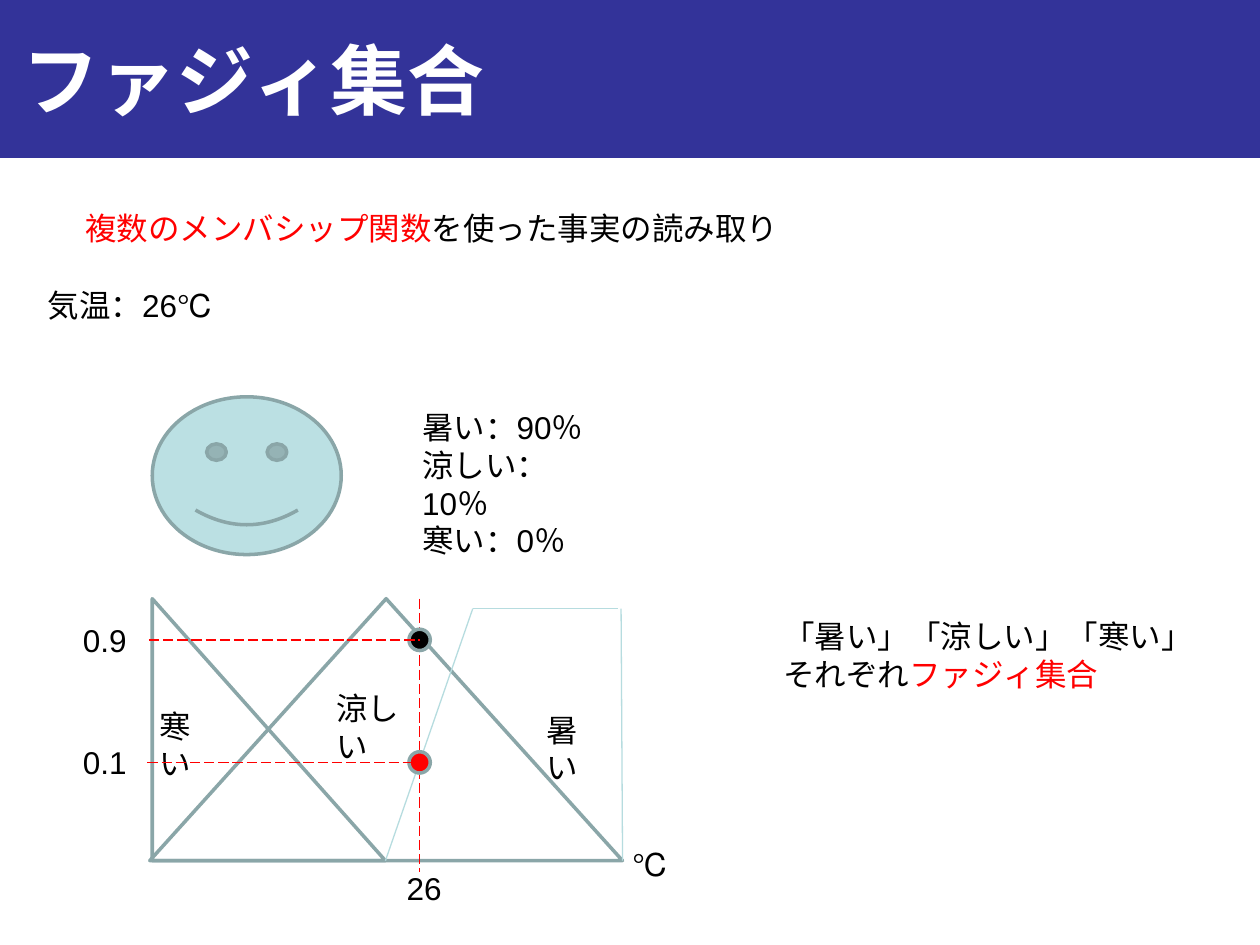
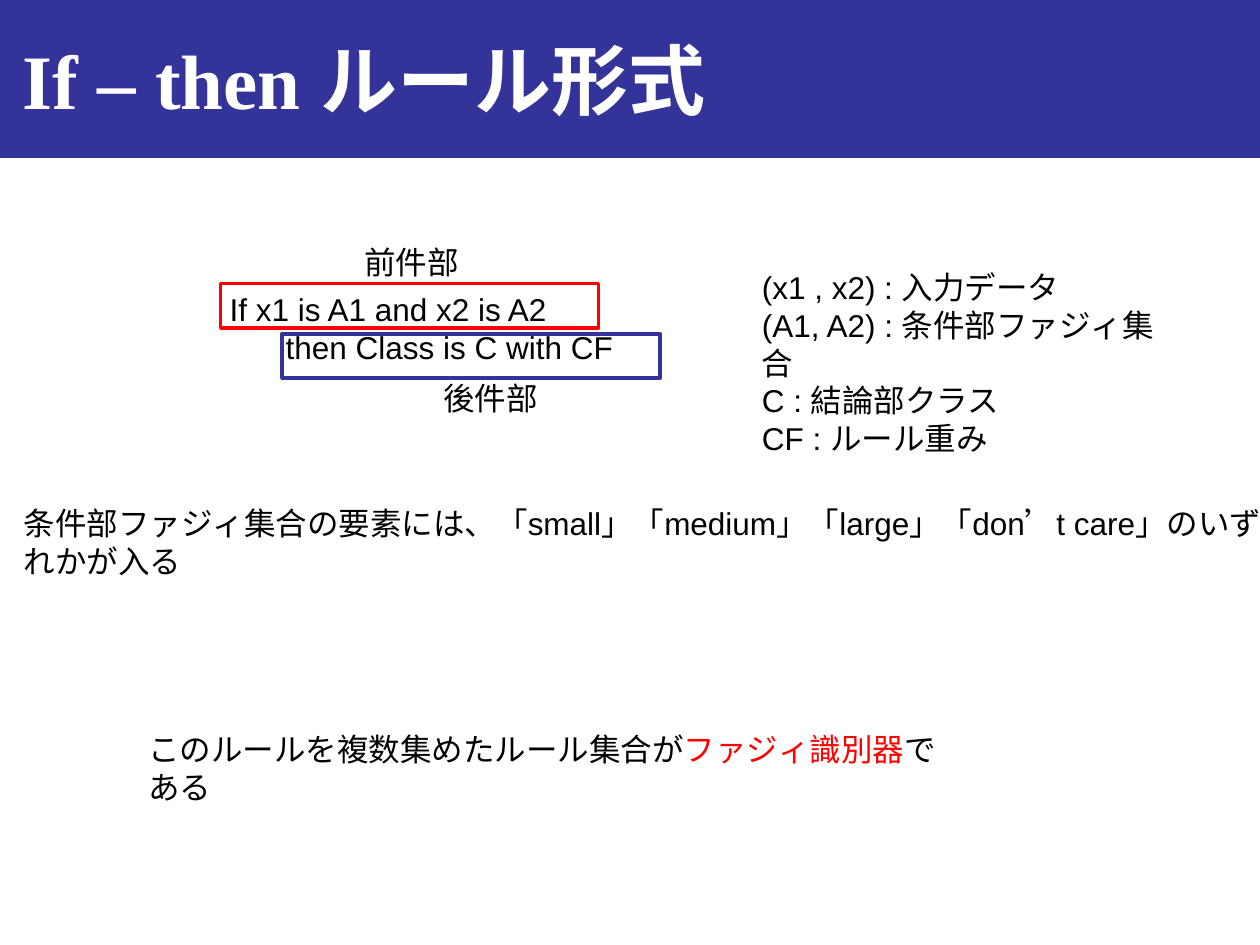
from dataclasses import dataclass

from lxml.etree import SubElement
from pptx import Presentation
from pptx.dml.color import RGBColor
from pptx.enum.dml import MSO_LINE_DASH_STYLE as DASH
from pptx.enum.shapes import MSO_CONNECTOR, MSO_SHAPE as SHAPE
from pptx.enum.text import MSO_ANCHOR, MSO_AUTO_SIZE, PP_ALIGN
from pptx.oxml.ns import qn
from pptx.util import Cm, Pt


@dataclass(frozen=True)
class Theme:
    navy: str = "333399"
    red: str = "FF0000"
    black: str = "000000"
    white: str = "FFFFFF"
    gray: str = "8AA6A8"
    aqua: str = "BBE0E3"
    pale: str = "B6DCDF"
    title_font: str = "Times New Roman"
    body_font: str = "Arial"
    title_size: int = 44
    body_size: int = 18
    thin: float = 0.75
    thick: float = 2


T = Theme()
WIDTH, HEIGHT, BAND = 25.4, 19.05, 3.18
LINE = 1.02


def rgb(color):
    return RGBColor.from_string(color)


def set_font(font, name, size, color, bold=False):
    font.name, font.size, font.bold = name, Pt(size), bold
    font.color.rgb = rgb(color)


def add_shape(shapes, kind, x, y, w, h, fill=None, line=T.gray, weight=T.thick):
    sp = shapes.add_shape(kind, Cm(x), Cm(y), Cm(w), Cm(h))
    sp.shadow.inherit = False
    if fill:
        sp.fill.solid()
        sp.fill.fore_color.rgb = rgb(fill)
    else:
        sp.fill.background()
    sp.line.color.rgb = rgb(line)
    sp.line.width = Pt(weight)
    return sp


def add_line(shapes, x1, y1, x2, y2, color=T.pale, dash=None):
    cxn = shapes.add_connector(MSO_CONNECTOR.STRAIGHT, Cm(x1), Cm(y1), Cm(x2), Cm(y2))
    cxn.line.color.rgb = rgb(color)
    cxn.line.width = Pt(T.thin)
    if dash:
        cxn.line.dash_style = dash
    SubElement(cxn.element.spPr, qn("a:effectLst"))


def add_text(shapes, x, y, w, *paragraphs, indents=()):
    """Each paragraph is a string or a list of (text, color) runs."""
    box = shapes.add_textbox(Cm(x), Cm(y), Cm(w), Cm(LINE * len(paragraphs)))
    tf = box.text_frame
    tf.word_wrap = True
    for i, runs in enumerate(paragraphs):
        p = tf.paragraphs[0] if i == 0 else tf.add_paragraph()
        set_font(p.font, T.body_font, T.body_size, T.black)
        if isinstance(runs, str):
            p.add_run().text = runs
        else:
            for text, color in runs:
                r = p.add_run()
                r.text = text
                r.font.color.rgb = rgb(color)
        if indents:
            p._p.get_or_add_pPr().set("marL", str(Cm(indents[i])))


def add_band(prs, layout):
    s = prs.slides.add_slide(layout)
    band = add_shape(s.shapes, SHAPE.RECTANGLE, 0, 0, WIDTH, BAND, T.navy, T.navy, T.thin)
    layout.shapes.element.insert(2, band.element)
    return s


def set_title(s, text):
    sp = s.shapes.title
    sp.left, sp.top, sp.width, sp.height = Cm(0.2), Cm(0), Cm(WIDTH - 0.2), Cm(BAND)
    tf = sp.text_frame
    tf.text = text
    tf.auto_size = MSO_AUTO_SIZE.NONE
    tf.vertical_anchor = MSO_ANCHOR.MIDDLE
    p = tf.paragraphs[0]
    p.alignment = PP_ALIGN.JUSTIFY
    set_font(p.font, T.title_font, T.title_size, T.white, True)


def add_membership_graph(shapes):
    top, base = 12.07, 17.35
    add_shape(shapes, SHAPE.ISOSCELES_TRIANGLE, 3.02, top, 9.53, base - top)
    cold = add_shape(shapes, SHAPE.ISOSCELES_TRIANGLE, 3.07, top, 4.7, base - top)
    cold.adjustments[0] = 0
    for text, x, y, w in (
        ("暑い", 10.77, 14.2, 1.75),
        ("涼しい", 6.53, 13.77, 2.26),
        ("寒い", 2.97, 14.12, 1.75),
        ("0.9", 1.42, 12.4, 1.42),
        ("0.1", 1.42, 14.86, 1.42),
    ):
        add_text(shapes, x, y, w, text)
    add_line(shapes, 7.77, base, 9.53, 12.27)
    add_line(shapes, 12.45, 12.27, 9.53, 12.27)
    add_line(shapes, 12.55, base, 12.52, 12.27)


def build_fuzzy_sets(s):
    shapes = s.shapes
    set_title(s, "ファジィ集合")
    add_text(shapes, 1.47, 4.09, 14.73,
             [("複数のメンバシップ関数", T.red), ("を使った事実の読み取り", T.black)])
    add_membership_graph(shapes.add_group_shape().shapes)
    add_text(shapes, 0.71, 5.64, 4.01, "気温：26℃")

    x, dot = 8.46, 0.43
    add_line(shapes, x, 12.07, x, 17.58, T.red, DASH.LONG_DASH)
    add_text(shapes, 7.95, 17.4, 4.01, "26")
    add_text(shapes, 12.5, 16.92, 4.01, "℃")
    grades = ((12.9, 3, T.black), (15.37, 2.97, T.red))
    for y, _, color in grades:
        add_shape(shapes, SHAPE.OVAL, x - dot / 2, y - dot / 2, dot, dot, color)
    add_shape(shapes, SHAPE.SMILEY_FACE, 3.07, 8, 3.81, 3.18, T.aqua)
    add_text(shapes, 8.26, 8.1, 4.01, "暑い：90％", "涼しい：10％", "寒い：0％")
    for y, left, _ in grades:
        add_line(shapes, left, y, x, y, T.red, DASH.LONG_DASH)
    add_text(shapes, 15.54, 12.32, 8.97, "「暑い」「涼しい」「寒い」",
             [("それぞれ", T.black), ("ファジィ集合", T.red)])


def build_rule_format(s):
    shapes = s.shapes
    set_title(s, "If – then ルール形式")
    add_text(shapes, 2.97, 5.72, 9.73, "If x1 is A1 and x2 is A2",
             "then Class is C with CF", indents=(1.41, 2.54))
    for x, y, color in ((4.45, 5.72, T.red), (5.69, 6.73, T.navy)):
        add_shape(shapes, SHAPE.RECTANGLE, x, y, 7.62, 0.89, line=color)
    add_text(shapes, 7.09, 4.78, 2.44, "前件部")
    add_text(shapes, 8.69, 7.52, 2.44, "後件部")
    add_text(shapes, 15.11, 5.28, 8.56, "(x1 , x2) : 入力データ",
             "(A1, A2) : 条件部ファジィ集合", "C : 結論部クラス", "CF : ルール重み")
    add_text(shapes, 0.23, 10.03, 25.48,
             "条件部ファジィ集合の要素には、「small」「medium」「large」「don’t care」のいずれかが入る")
    add_text(shapes, 2.74, 14.6, 16.74,
             [("このルールを複数集めたルール集合が", T.black), ("ファジィ識別器", T.red),
              ("である", T.black)])


def main():
    prs = Presentation()
    prs.slide_width, prs.slide_height = Cm(WIDTH), Cm(HEIGHT)
    layout = prs.slide_layouts.get_by_name("Title Only")
    build_fuzzy_sets(add_band(prs, layout))
    build_rule_format(prs.slides.add_slide(layout))
    prs.save("out.pptx")


main()
